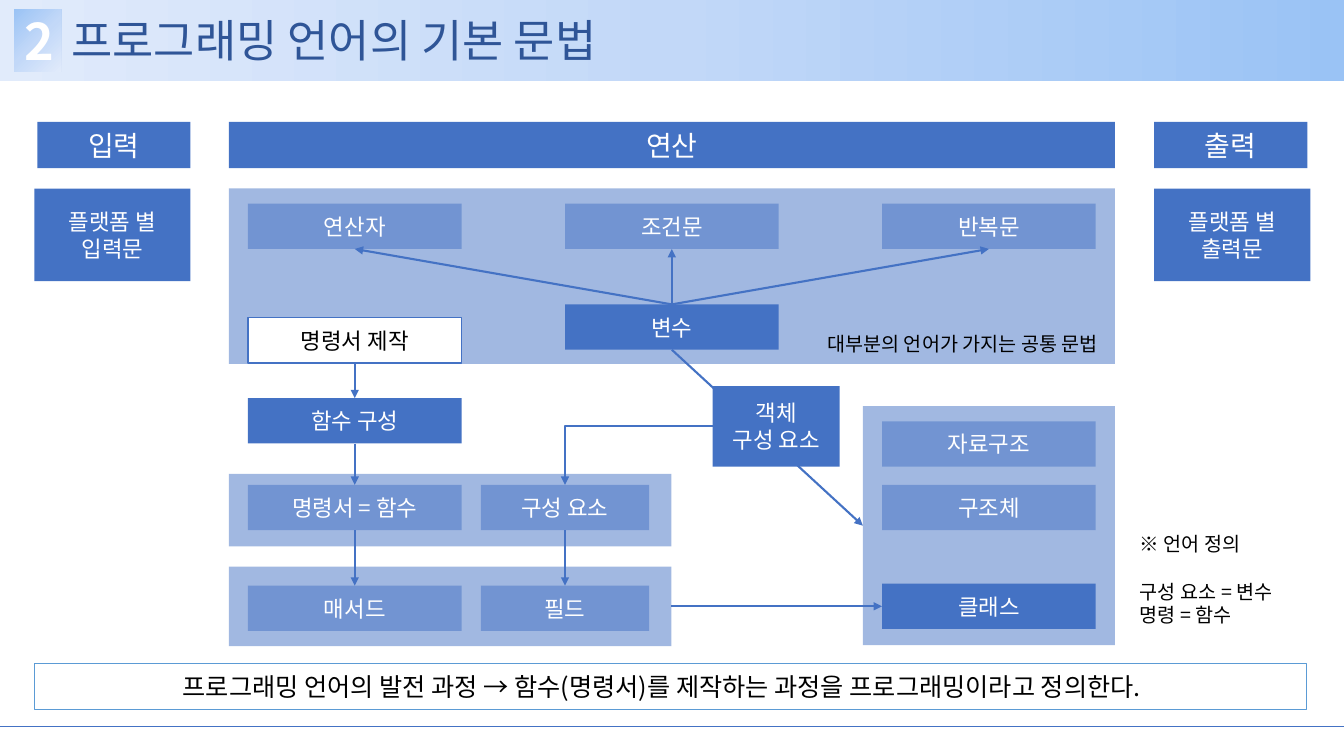
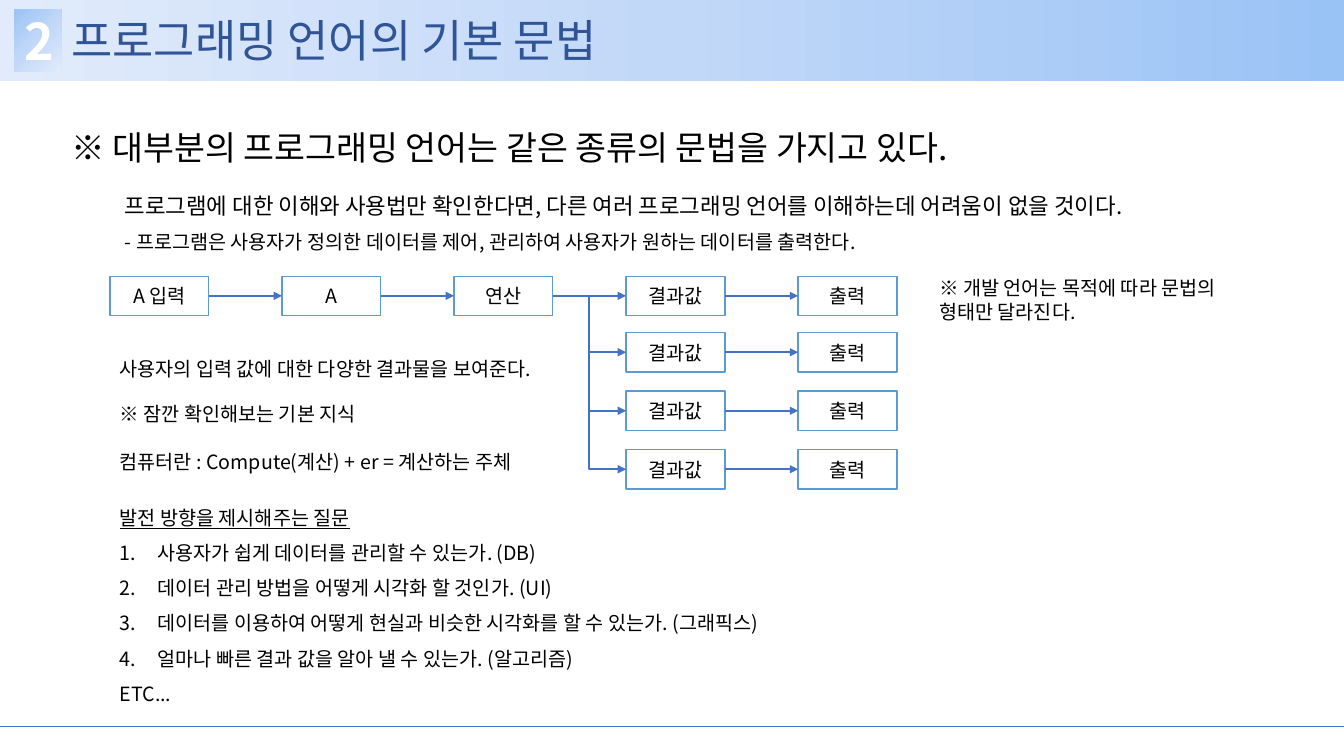
"""Build two slides on the basic grammar of programming languages."""
import dataclasses

import lxml.etree
import pptx
import pptx.dml.color
import pptx.enum.shapes
import pptx.enum.text
import pptx.oxml.ns
import pptx.presentation
import pptx.shapes.autoshape
import pptx.shapes.base
import pptx.shapes.connector
import pptx.slide
import pptx.util

FONT = "Noto Sans CJK KR"
BLUE, SKY, NAVY, WHITE, BLACK = "4472C4", "5B9BD5", "2F5597", "FFFFFF", "000000"
BLEND = ((0, "9AC3F5"), (50, "C2D8F8"), (100, "E1EBFB"))
CELL = 0.1
WIDE, HIGH = 133.33, 75
TOP, LEFT, BASE, RIGHT = range(4)
ALIGN = pptx.enum.text.PP_ALIGN
ANCHOR = pptx.enum.text.MSO_ANCHOR
KIND = pptx.enum.shapes.MSO_CONNECTOR


@dataclasses.dataclass(frozen=True)
class Look:
    """Fill, opacity, edge and ink of a box."""
    fill: str = BLUE
    alpha: int = 100
    edge: str = ""
    ink: str = WHITE


@dataclasses.dataclass(frozen=True)
class Area:
    """Place and size in grid cells."""
    left: float
    top: float
    wide: float
    high: float


@dataclasses.dataclass(frozen=True)
class Box:
    """A box with its key, text, place and look."""
    key: str
    text: str
    area: Area
    look: Look
    size: int = 16


@dataclasses.dataclass(frozen=True)
class Note:
    """Free text with its place, size and spacing."""
    text: str
    area: Area
    size: int = 14
    lead: float = 1.0
    gaps: tuple[int, ...] = ()
    mid: bool = False


SOLID, TINT = Look(), Look(alpha=50)
CARD = Look(WHITE, edge=BLUE, ink=BLACK)
FRAME = Look(WHITE, edge=SKY, ink=BLACK)


def hue(code: str) -> pptx.dml.color.RGBColor:
    """Turn a hex string into a colour."""
    return pptx.dml.color.RGBColor.from_string(code)


def cell(count: float) -> int:
    """Turn grid cells into a length."""
    return pptx.util.Inches(count * CELL)


def spot(area: Area) -> list[int]:
    """Turn an area into lengths."""
    return [cell(part) for part in dataclasses.astuple(area)]


def add(host: lxml.etree._Element, tag: str, **traits: str) -> lxml.etree._Element:
    """Append an XML element."""
    return lxml.etree.SubElement(host, pptx.oxml.ns.qn(tag), traits)


def write(shape: pptx.shapes.base.BaseShape, text: str, size: int, ink: str,
          align: ALIGN, anchor: ANCHOR, bold: bool = False) -> None:
    """Set and format the text of a shape."""
    frame = shape.text_frame
    frame.text = text
    frame.word_wrap = True
    frame.auto_size = pptx.enum.text.MSO_AUTO_SIZE.NONE
    frame.vertical_anchor = anchor
    for para in frame.paragraphs:
        para.alignment = align
        for run in para.runs:
            run.font.name = FONT
            run.font.size = pptx.util.Pt(size)
            run.font.bold = bold
            run.font.color.rgb = hue(ink)
    for mark in list(shape.element.iter(pptx.oxml.ns.qn("a:rPr"))):
        add(mark, "a:ea", typeface=FONT)


def rect(slide: pptx.slide.Slide, area: Area) -> pptx.shapes.autoshape.Shape:
    """Draw a bare rectangle."""
    shape = slide.shapes.add_shape(pptx.enum.shapes.MSO_SHAPE.RECTANGLE, *spot(area))
    shape.shadow.inherit = False
    shape.line.fill.background()
    return shape


def blend(shape: pptx.shapes.autoshape.Shape, turn: int) -> None:
    """Fill a shape with the shared gradient."""
    shape.fill.gradient()
    shape.fill.gradient_angle = turn
    stops = next(shape.element.iter(pptx.oxml.ns.qn("a:gsLst")))
    for stop in list(stops):
        stops.remove(stop)
    for share, code in BLEND:
        add(add(stops, "a:gs", pos=str(share * 1000)), "a:srgbClr", val=code)


def block(slide: pptx.slide.Slide, box: Box) -> pptx.shapes.autoshape.Shape:
    """Draw a box with its text."""
    shape, look = rect(slide, box.area), box.look
    shape.fill.solid()
    shape.fill.fore_color.rgb = hue(look.fill)
    if look.alpha < 100:
        tone = next(shape.element.spPr.iter(pptx.oxml.ns.qn("a:srgbClr")))
        add(tone, "a:alpha", val=str(look.alpha * 1000))
    if look.edge:
        shape.line.color.rgb = hue(look.edge)
        shape.line.width = pptx.util.Pt(1)
    if box.text:
        write(shape, box.text, box.size, look.ink, ALIGN.CENTER, ANCHOR.MIDDLE)
    return shape


def note(slide: pptx.slide.Slide, item: Note) -> pptx.shapes.autoshape.Shape:
    """Draw free text."""
    shape = slide.shapes.add_textbox(*spot(item.area))
    write(shape, item.text, item.size, BLACK, ALIGN.LEFT,
          ANCHOR.MIDDLE if item.mid else ANCHOR.TOP)
    for rank, para in enumerate(shape.text_frame.paragraphs):
        para.line_spacing = item.lead
        if rank in item.gaps:
            para.space_before = pptx.util.Pt(17)
    return shape


def trim(line: pptx.shapes.connector.Connector, width: float) -> None:
    """Give a line its colour and width, without shadow."""
    line.line.color.rgb = hue(BLUE)
    line.line.width = pptx.util.Pt(width)
    add(line.element.spPr, "a:effectLst")


def link(slide: pptx.slide.Slide, start: pptx.shapes.base.BaseShape, out: int,
         end: pptx.shapes.base.BaseShape, into: int,
         kind: KIND = KIND.STRAIGHT) -> pptx.shapes.connector.Connector:
    """Join two shapes with an arrow."""
    line = slide.shapes.add_connector(kind, 0, 0, 0, 0)
    line.begin_connect(start, out)
    line.end_connect(end, into)
    trim(line, 1.5)
    stroke = line.element.spPr.find(pptx.oxml.ns.qn("a:ln"))
    add(stroke, "a:tailEnd", type="triangle")
    return line


def dress(deck: pptx.presentation.Presentation, slide: pptx.slide.Slide) -> None:
    """Move the band and foot line into the shared layout."""
    band = rect(slide, Area(0, 0, WIDE, 8))
    blend(band, 180)
    foot = slide.shapes.add_connector(
        KIND.STRAIGHT, 0, cell(72.1), cell(WIDE), cell(72.1))
    trim(foot, 0.5)
    tree = deck.slide_layouts[5].shapes.element
    for rank, part in enumerate((band, foot)):
        part.element.xpath(".//p:cNvPr")[0].set("id", str(20 + rank))
        tree.insert(2 + rank, part.element)


def start(deck: pptx.presentation.Presentation) -> pptx.slide.Slide:
    """Add a slide with its title and number."""
    slide = deck.slides.add_slide(deck.slide_layouts[5])
    title = slide.shapes.title
    title.left, title.top, title.width, title.height = spot(Area(6.1, 0.9, 87.9, 6.2))
    write(title, "프로그래밍 언어의 기본 문법", 32, NAVY, ALIGN.LEFT, ANCHOR.BOTTOM)
    badge = rect(slide, Area(1.4, 0.9, 4.7, 6.2))
    blend(badge, 315)
    write(badge, "2", 36, WHITE, ALIGN.CENTER, ANCHOR.MIDDLE, True)
    return slide


def chart(slide: pptx.slide.Slide) -> None:
    """Draw the map of the grammar."""
    def node(key: str, text: str, left: float, top: float,
             look: Look = TINT, wide: float = 21.2) -> Box:
        """Make a box of the common height."""
        return Box(key, text, Area(left, top, wide, 4.5), look)

    one, two, three = (24.6 + 31.45 * rank for rank in range(3))
    boxes = [
        Box("in", "입력", Area(3.7, 12.1, 15.2, 4.6), SOLID, 20),
        Box("work", "연산", Area(22.7, 12.1, 87.9, 4.6), SOLID, 20),
        Box("out", "출력", Area(114.5, 12.1, 15.2, 4.6), SOLID, 20),
        Box("read", "플랫폼 별\n입력문", Area(3.4, 18.7, 15.5, 9.2), SOLID),
        Box("print", "플랫폼 별\n출력문", Area(114.5, 18.7, 15.5, 9.2), SOLID),
        Box("core", "", Area(22.7, 18.7, 87.9, 17.4), TINT),
        Box("data", "", Area(85.6, 40.3, 25, 23.7), TINT),
        Box("upper", "", Area(22.7, 47, 43.9, 7.2), TINT),
        Box("lower", "", Area(22.7, 56.2, 43.9, 7.9), TINT),
        node("sign", "연산자", one, 20.2),
        node("if", "조건문", two, 20.2),
        node("loop", "반복문", three, 20.2),
        node("var", "변수", two, 30.2, SOLID),
        node("make", "명령서 제작", one, 31.5, CARD),
        node("build", "함수 구성", one, 39.5, SOLID),
        node("call", "명령서 = 함수", one, 48.1),
        node("part", "구성 요소", 47.7, 48.1, wide=16.7),
        node("method", "매서드", one, 58.1),
        node("field", "필드", 47.7, 58.1, wide=16.7),
        node("list", "자료구조", three, 41.8),
        node("struct", "구조체", three, 48.1),
        node("class", "클래스", three, 57.9, SOLID),
    ]
    made = {box.key: block(slide, box) for box in boxes}
    link(slide, made["var"], BASE, made["data"], LEFT)
    thing = block(slide, Box("thing", "객체\n구성 요소", Area(70.7, 38.3, 12.6, 8), SOLID))
    for key in ("sign", "if", "loop"):
        link(slide, made["var"], TOP, made[key], BASE)
    for head, tail in (("make", "build"), ("build", "call"),
                       ("call", "method"), ("part", "field")):
        link(slide, made[head], BASE, made[tail], TOP)
    link(slide, made["lower"], RIGHT, made["class"], LEFT)
    bend = link(slide, thing, LEFT, made["part"], TOP, KIND.ELBOW)
    bend.element.spPr.find(pptx.oxml.ns.qn("a:prstGeom")).set("prst", "bentConnector2")
    claim = block(slide, Box(
        "claim", "프로그래밍 언어의 발전 과정 → 함수(명령서)를 제작하는 과정을 프로그래밍이라고 정의한다.",
        Area(3.4, 65.8, 126.2, 4.6), FRAME, 18))
    claim.text_frame.margin_right = cell(2.7)
    note(slide, Note("대부분의 언어가 가지는 공통 문법", Area(81.1, 32.4, 29.4, 3.6)))
    note(slide, Note("※ 언어 정의\n구성 요소 = 변수\n명령 = 함수",
                     Area(112.1, 52.3, 17.6, 11.6), gaps=(1,)))


def flow(slide: pptx.slide.Slide) -> None:
    """Draw the flow from input to output with its notes."""
    def step(text: str, rank: int, top: float) -> pptx.shapes.autoshape.Shape:
        """Draw one step in its column."""
        return block(slide, Box(text, text, Area(10.9 + 17.07 * rank, top, 9.8, 3.9),
                                FRAME, 14))

    rows = (27.4, 33, 38.8, 44.6)
    enter, item, work = (step(text, rank, rows[0])
                         for rank, text in enumerate(("A 입력", "A", "연산")))
    link(slide, enter, RIGHT, item, LEFT)
    link(slide, item, RIGHT, work, LEFT)
    for top in rows:
        value, shown = step("결과값", 3, top), step("출력", 4, top)
        link(slide, work, RIGHT, value, LEFT,
             KIND.STRAIGHT if top == rows[0] else KIND.ELBOW)
        link(slide, value, RIGHT, shown, LEFT)

    note(slide, Note("※ 대부분의 프로그래밍 언어는 같은 종류의 문법을 가지고 있다.",
                     Area(6.1, 12.3, 119.2, 4.6), 24, mid=True))
    lead = note(slide, Note(
        "프로그램에 대한 이해와 사용법만 확인한다면, 다른 여러 프로그래밍 언어를 이해하는데 어려움이 없을 것이다.\n"
        "- 프로그램은 사용자가 정의한 데이터를 제어, 관리하여 사용자가 원하는 데이터를 출력한다.",
        Area(11.4, 17.2, 106.1, 9.2), 16, 1.5))
    for run in lead.text_frame.paragraphs[1].runs:
        run.font.size = pptx.util.Pt(14)
    note(slide, Note("사용자의 입력 값에 대한 다양한 결과물을 보여준다.", Area(10.9, 34.9, 44, 3.9)))
    note(slide, Note("※ 잠깐 확인해보는 기본 지식\n컴퓨터란 : Compute(계산) + er = 계산하는 주체",
                     Area(10.9, 39.4, 44, 9.1), gaps=(1,)))
    note(slide, Note("※ 개발 언어는 목적에 따라 문법의 형태만 달라진다.", Area(92.2, 26.9, 32.7, 5.5)))
    quest = note(slide, Note(
        "발전 방향을 제시해주는 질문\n사용자가 쉽게 데이터를 관리할 수 있는가. (DB)\n"
        "데이터 관리 방법을 어떻게 시각화 할 것인가. (UI)\n"
        "데이터를 이용하여 어떻게 현실과 비슷한 시각화를 할 수 있는가. (그래픽스)\n"
        "얼마나 빠른 결과 값을 알아 낼 수 있는가. (알고리즘)\nETC...",
        Area(10.9, 48.5, 99.6, 22.4), lead=1.5))
    paras = quest.text_frame.paragraphs
    paras[0].runs[0].font.underline = True
    dent = cell(3.75)
    for para in paras[1:-1]:
        props = para._p.get_or_add_pPr()
        props.set("marL", str(dent))
        props.set("indent", str(-dent))
        add(props, "a:buFont", typeface="+mj-lt")
        add(props, "a:buAutoNum", type="arabicPeriod")


def main() -> None:
    """Build and save the deck."""
    deck = pptx.Presentation()
    deck.slide_width, deck.slide_height = cell(WIDE), cell(HIGH)
    for rank, draw in enumerate((chart, flow)):
        slide = start(deck)
        if rank == 0:
            dress(deck, slide)
        draw(slide)
    deck.save("out.pptx")


if __name__ == "__main__":
    main()
